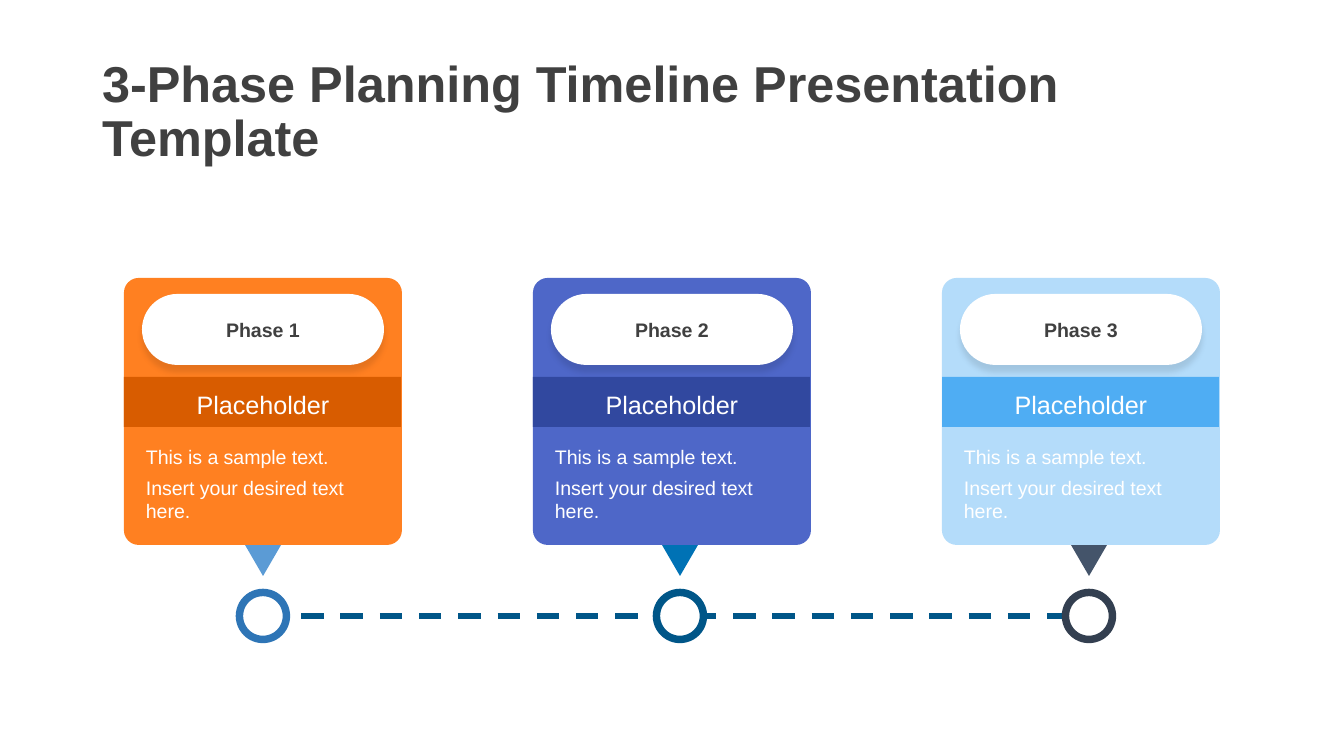
from lxml.etree import SubElement
from pptx import Presentation
from pptx.dml.color import RGBColor
from pptx.enum.dml import MSO_LINE
from pptx.enum.shapes import MSO_CONNECTOR, MSO_SHAPE
from pptx.enum.text import MSO_ANCHOR, MSO_AUTO_SIZE, PP_ALIGN
from pptx.oxml.ns import qn
from pptx.util import Pt

TITLE = "3-Phase Planning Timeline Presentation Template"
HEADING = "Placeholder"
BODY = ["This is a sample text.", "Insert your desired text here."]
PHASES = [
    dict(label="Phase 1", card="orange", band="dark orange",
         pointer="sky", ring="steel", node_x=263),
    dict(label="Phase 2", card="indigo", band="dark indigo",
         pointer="blue", ring="deep blue", node_x=680),
    dict(label="Phase 3", card="pale blue", band="light blue",
         pointer="slate", ring="dark slate", node_x=1089),
]
COLORS = {
    "white": "FFFFFF", "text": "404040", "black": "000000",
    "orange": "FF8021", "dark orange": "D85C00",
    "indigo": "4E67C8", "dark indigo": "31489F",
    "pale blue": "B4DCFA", "light blue": "4FADF3",
    "sky": "5B9BD5", "blue": "0072B5", "slate": "44546A",
    "steel": "2E75B6", "deep blue": "005688", "dark slate": "333F50",
}
EMU_PER_PX = 914400 / 134.4
CARD_LEFT, CARD_PITCH, CARD_TOP, CARD_W, CARD_H = 124, 409, 278, 278, 267
PILL_INSET, PILL_W = 18, 242
NODE_Y, NODE_SIZE = 616, 47
POINTER_W, POINTER_H = 36, 31


def px(length):
    return round(length * EMU_PER_PX)


def color(name):
    return RGBColor.from_string(COLORS[name])


def add_block(kind, left, top, width, height, fill, radius=None, ring=None):
    block = slide.shapes.add_shape(kind, px(left), px(top), px(width), px(height))
    block.shadow.inherit = False
    block.fill.solid()
    block.fill.fore_color.rgb = color(fill)
    if radius is not None:
        block.adjustments[0] = radius
    if ring:
        block.line.color.rgb = color(ring)
        block.line.width = Pt(4)
    else:
        block.line.fill.background()
    return block


def add_textbox(left, top, width, height):
    return slide.shapes.add_textbox(px(left), px(top), px(width), px(height))


def write(holder, paragraphs, size, ink="white", bold=False, align=PP_ALIGN.LEFT,
          anchor=MSO_ANCHOR.TOP, insets=(13, 7), gap=0, spacing=None, grow=False):
    frame = holder.text_frame
    frame.word_wrap = True
    frame.auto_size = MSO_AUTO_SIZE.SHAPE_TO_FIT_TEXT if grow else MSO_AUTO_SIZE.NONE
    frame.vertical_anchor = anchor
    frame.margin_left = frame.margin_right = px(insets[0])
    frame.margin_top = frame.margin_bottom = px(insets[1])
    for index, text in enumerate(paragraphs):
        paragraph = frame.add_paragraph() if index else frame.paragraphs[0]
        paragraph.alignment = align
        if index and gap:
            paragraph.space_before = Pt(gap)
        if spacing:
            paragraph.line_spacing = spacing
        run = paragraph.add_run()
        run.text = text
        run.font.name = "Arial"
        run.font.size = Pt(size)
        run.font.bold = bold
        run.font.color.rgb = color(ink)


def add_soft_shadow(block):
    effects = block._element.spPr.find(qn("a:effectLst"))
    shadow = SubElement(effects, qn("a:outerShdw"), blurRad=str(Pt(3)),
                        dist=str(Pt(4)), dir="5400000", rotWithShape="0")
    tint = SubElement(shadow, qn("a:srgbClr"), val=COLORS["black"])
    SubElement(tint, qn("a:alpha"), val="10000")


def add_timeline(start, end):
    line = slide.shapes.add_connector(
        MSO_CONNECTOR.STRAIGHT, px(start), px(NODE_Y), px(end), px(NODE_Y))
    line.line.color.rgb = color("deep blue")
    line.line.width = Pt(3)
    line.line.dash_style = MSO_LINE.DASH
    SubElement(line._element.spPr, qn("a:effectLst"))


def add_card(left, phase):
    add_block(MSO_SHAPE.ROUNDED_RECTANGLE, left, CARD_TOP, CARD_W, CARD_H,
              phase["card"], radius=0.055)
    add_block(MSO_SHAPE.RECTANGLE, left, 377, CARD_W - 1, 50, phase["band"])
    pill_left = left + PILL_INSET
    pill = add_block(MSO_SHAPE.ROUNDED_RECTANGLE, pill_left, 294, PILL_W, 71,
                     "white", radius=0.5)
    add_soft_shadow(pill)
    write(pill, [phase["label"]], 10.5, ink="text", bold=True,
          align=PP_ALIGN.CENTER, anchor=MSO_ANCHOR.MIDDLE)
    write(add_textbox(pill_left, 382, PILL_W, 44), [HEADING], 13.5,
          align=PP_ALIGN.CENTER, grow=True)
    write(add_textbox(left + 22, 438, 234, 93), BODY, 10.5,
          insets=(0, 7), gap=3.8, grow=True)


prs = Presentation()
prs.slide_width, prs.slide_height = px(1344), px(756)
slide = prs.slides.add_slide(prs.slide_layouts[6])

write(add_textbox(93, 40, 1158, 146), [TITLE], 27, ink="text", bold=True,
      anchor=MSO_ANCHOR.MIDDLE, insets=(9, 5), spacing=0.9)

for phase in PHASES:
    pointer = add_block(MSO_SHAPE.ISOSCELES_TRIANGLE, phase["node_x"] - POINTER_W / 2,
                        CARD_TOP + CARD_H, POINTER_W, POINTER_H, phase["pointer"])
    pointer.rotation = 180

add_timeline(262, 1081)

for index, phase in enumerate(PHASES):
    add_card(CARD_LEFT + index * CARD_PITCH, phase)
    add_block(MSO_SHAPE.OVAL, phase["node_x"] - NODE_SIZE / 2, NODE_Y - NODE_SIZE / 2,
              NODE_SIZE, NODE_SIZE, "white", ring=phase["ring"])

prs.save("out.pptx")
